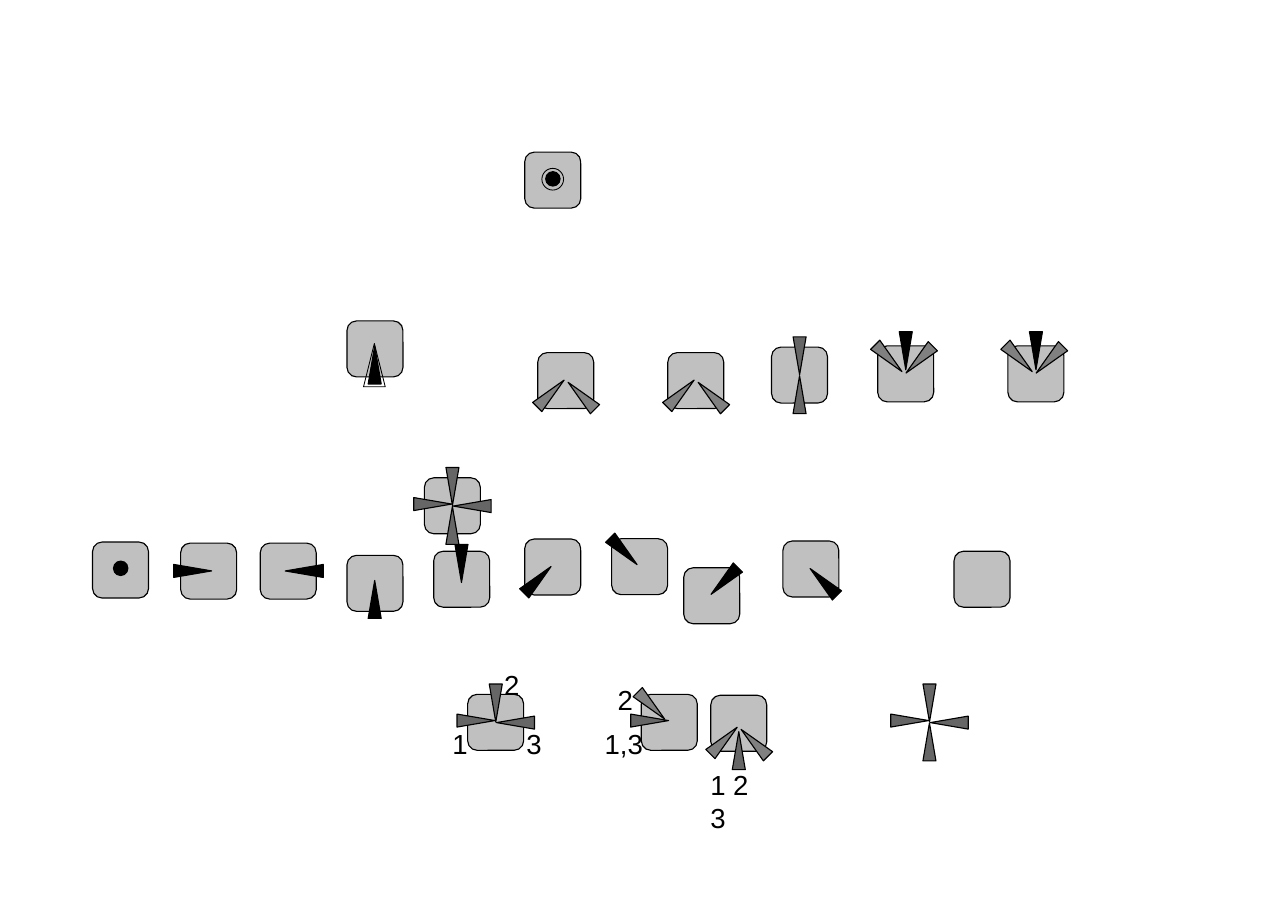
"""Build a slide of grey square keys with wedge markers for directions and turn orders."""
import pptx
import pptx.dml.color
import pptx.enum.shapes
import pptx.enum.text
import pptx.util

Pt = pptx.util.Pt
SHAPES = pptx.enum.shapes.MSO_SHAPE
BLACK, DARK, MIDDLE, SILVER = "000000", "666666", "808080", "C0C0C0"


def color(hex_string):
    return pptx.dml.color.RGBColor.from_string(hex_string)


def draw(kind, left, top, width, height, fill=None, line_width=0, rotation=0):
    shape = page.shapes.add_shape(kind, Pt(left), Pt(top), Pt(width), Pt(height))
    shape.shadow.inherit = False
    shape.rotation = rotation
    if fill:
        shape.fill.solid()
        shape.fill.fore_color.rgb = color(fill)
    else:
        shape.fill.background()
    shape.line.color.rgb = color(BLACK)
    shape.line.width = Pt(line_width)
    return shape


deck = pptx.Presentation()
deck.slide_width, deck.slide_height = Pt(841.9), Pt(595.3)
page = deck.slides.add_slide(deck.slide_layouts[6])

# Each wedge: offset from the key's corner, rotation, fill
cross_north = (14.1, -6.7, 180, DARK)
cross_south = (14.1, 18.7, 0, DARK)
cross_west = (1.2, 4.8, 90, DARK)
cross_east = (27, 6.1, 270, DARK)
cross = [cross_north, cross_south, cross_west, cross_east]
lower_pair = [(4.2, 14.4, 45, MIDDLE), (24.4, 15.8, 315, MIDDLE)]
upper_fan = [(23, -3.4, 225, MIDDLE), (2.9, -4.3, 135, MIDDLE), (14.1, -9.2, 180, BLACK)]
lower_fan = [(14.1, 23.8, 0, DARK), (4.3, 17.3, 45, MIDDLE), (24.4, 18.7, 315, MIDDLE)]
south = [(13.9, 16.4, 0, BLACK)]

keys = [
    (226.8, 362.9, south),
    (283.5, 360.2, [(13.9, -4.4, 180, BLACK)]),
    (170.1, 354.9, [(24.5, 5.8, 270, BLACK)]),
    (118.1, 354.9, [(3.6, 5.8, 90, BLACK)]),
    (446.9, 371, [(22.4, -3.8, 225, BLACK)]),
    (511.7, 353.5, [(22.4, 14.4, 315, BLACK)]),
    (399.8, 352, [(3.6, -4.2, 135, BLACK)]),
    (343, 352.2, [(4.2, 14.4, 45, BLACK)]),
    (60.5, 354.2, []),
    (277.4, 312.2, cross),
    (343, 99.4, []),
    (226.8, 209.7, south),
    (351.5, 230.4, lower_pair),
    (436.5, 230.4, lower_pair),
    (504.3, 226.8, [cross_north, cross_south]),
    (573.7, 226, upper_fan),
    (658.8, 226, upper_fan),
    (623.6, 360.2, []),
    (305.7, 453.7, [cross_north, cross_west, cross_east]),
    (419.2, 453.7, [cross_west, (2.2, -5, 135, MIDDLE)]),
    (464.6, 454.3, lower_fan),
    (589.2, 453.7, cross),
]
wheel_without_key = keys[-1]

for key in keys:
    key_left, key_top, wedges = key
    if key is not wheel_without_key:
        square = draw(SHAPES.ROUNDED_RECTANGLE, key_left, key_top, 36.6, 36.6, SILVER)
        square.adjustments[0] = 0.17
    for offset_x, offset_y, rotation, fill in wedges:
        draw(SHAPES.ISOSCELES_TRIANGLE, key_left + offset_x, key_top + offset_y,
             8.5, 24.8, fill, rotation=rotation)

for dot_left, dot_top in [(74.2, 366.7), (356.7, 112.2)]:
    draw(SHAPES.OVAL, dot_left, dot_top, 9.4, 9.4, BLACK)
draw(SHAPES.OVAL, 354.2, 110, 14.2, 14.2, line_width=0.57)
draw(SHAPES.ISOSCELES_TRIANGLE, 237.6, 224.5, 14.2, 28.3, line_width=0.57)

labels = [
    ("1", 288.7, 471.6, 24.5),
    ("3", 337, 471.6, 24.5),
    ("2", 322.4, 432.7, 24.5),
    ("1,3", 388.1, 471.6, 39.6),
    ("2", 396.7, 442.8, 24.5),
    ("1 2 3", 457.2, 498.2, 54),
]
for text, left, top, width in labels:
    box = page.shapes.add_textbox(Pt(left), Pt(top), Pt(width), Pt(27.4))
    box.text_frame.word_wrap = False
    box.text_frame.auto_size = pptx.enum.text.MSO_AUTO_SIZE.SHAPE_TO_FIT_TEXT
    para = box.text_frame.paragraphs[0]
    para.text = text
    para.font.name = "Arial"
    para.font.size = Pt(18)
    para.font.color.rgb = color(BLACK)

deck.save("out.pptx")
